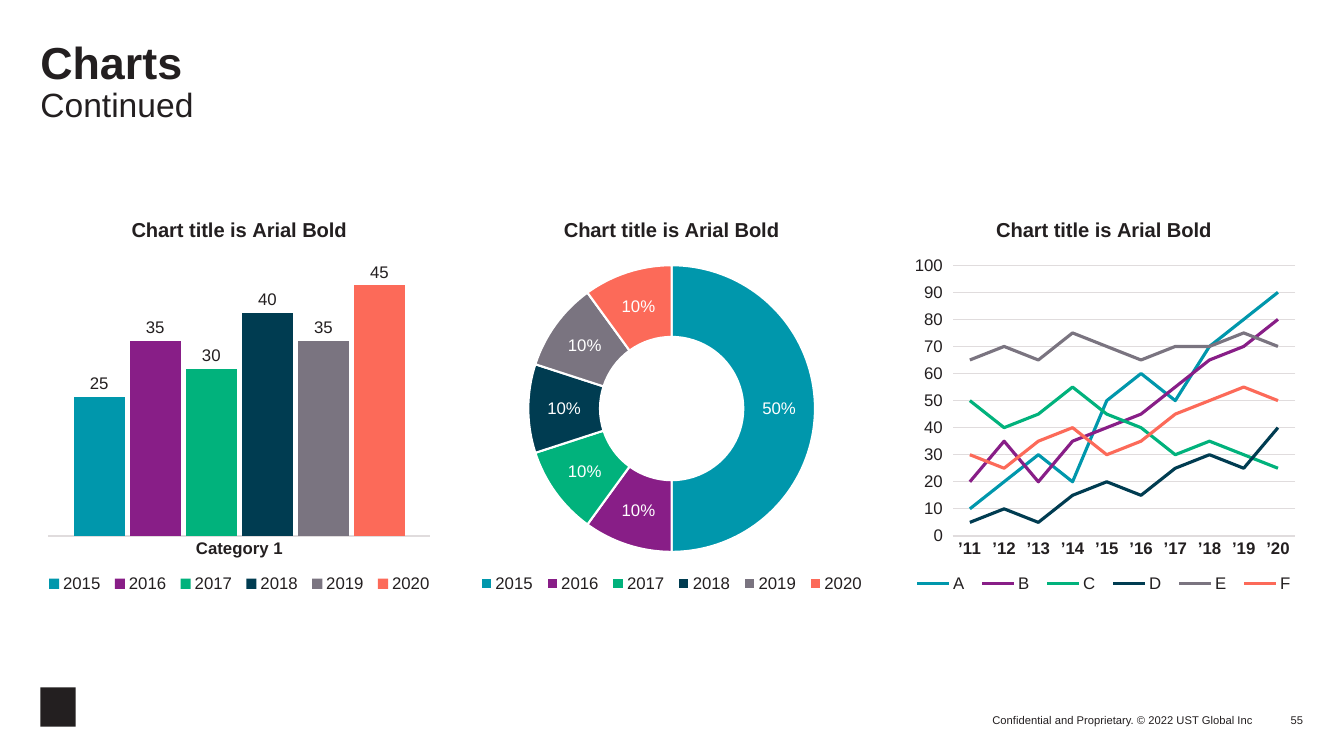
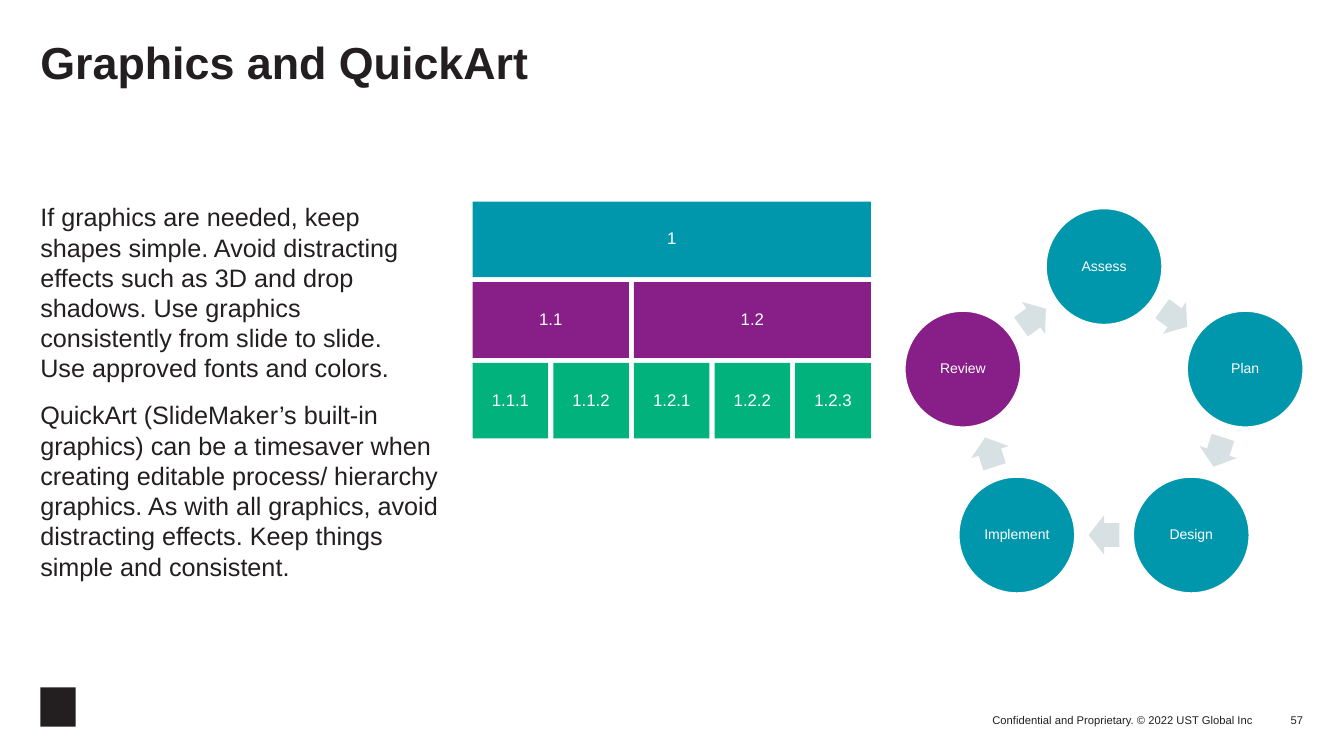
import math

import pptx
import pptx.chart.data
import pptx.dml.color
import pptx.enum.chart
import pptx.enum.shapes
import pptx.enum.text
import pptx.oxml
import pptx.oxml.ns
import pptx.util

Pt = pptx.util.Pt
RGBColor = pptx.dml.color.RGBColor
ALIGN = pptx.enum.text.PP_ALIGN
ANCHOR = pptx.enum.text.MSO_ANCHOR
SHAPE = pptx.enum.shapes.MSO_SHAPE
CHART = pptx.enum.chart.XL_CHART_TYPE
TICK = pptx.enum.chart.XL_TICK_MARK

# Shared style
FONT = "Arial"
INK = RGBColor(0x23, 0x1F, 0x20)
WHITE = RGBColor(0xFF, 0xFF, 0xFF)
RULE = RGBColor(0xE0, 0xDC, 0xDD)
MIST = RGBColor(0xD7, 0xE0, 0xE3)
TEAL = RGBColor(0x00, 0x97, 0xAC)
PURPLE = RGBColor(0x88, 0x1E, 0x87)
GREEN = RGBColor(0x01, 0xB2, 0x7C)
NAVY = RGBColor(0x00, 0x3C, 0x51)
GREY = RGBColor(0x7A, 0x74, 0x80)
CORAL = RGBColor(0xFC, 0x6A, 0x59)
PALETTE = [TEAL, PURPLE, GREEN, NAVY, GREY, CORAL]

# Shared grid: three equal columns
MARGIN, CONTENT_TOP = 28.8, 144
COLUMN_WIDTH, COLUMN_GAP = 284.4, 24.4
COLUMNS = [MARGIN + i * (COLUMN_WIDTH + COLUMN_GAP) for i in range(3)]
CONTENT_RIGHT = COLUMNS[-1] + COLUMN_WIDTH
FOOTER_BOTTOM = 519

# Content
FOOTER = "Confidential and Proprietary. © 2022 UST Global Inc"
CHART_TITLE = "Chart title is Arial Bold"
YEARS = ["2015", "2016", "2017", "2018", "2019", "2020"]
COLUMN_DATA = (["Category 1"], dict(zip(YEARS, [[25], [35], [30], [40], [35], [45]])))
RING_DATA = (YEARS, {"Series 1": [0.5, 0.1, 0.1, 0.1, 0.1, 0.1]})
LINE_DATA = (
    [f"’{year}" for year in range(11, 21)],
    {
        "A": [10, 20, 30, 20, 50, 60, 50, 70, 80, 90],
        "B": [20, 35, 20, 35, 40, 45, 55, 65, 70, 80],
        "C": [50, 40, 45, 55, 45, 40, 30, 35, 30, 25],
        "D": [5, 10, 5, 15, 20, 15, 25, 30, 25, 40],
        "E": [65, 70, 65, 75, 70, 65, 70, 70, 75, 70],
        "F": [30, 25, 35, 40, 30, 35, 45, 50, 55, 50],
    },
)
NO_BREAK = chr(160)
GUIDANCE = [
    "If graphics are needed, keep shapes simple. Avoid distracting effects such as "
    f"3D{NO_BREAK}and drop shadows. Use graphics consistently from slide to slide. "
    f"Use{NO_BREAK}approved fonts and colors.",
    "QuickArt (SlideMaker’s built-in graphics) can be a timesaver when creating "
    "editable process/ hierarchy graphics. As with all graphics, avoid distracting "
    "effects. Keep things simple and consistent.",
]
# Each level: colour, then (label, number of cells spanned)
HIERARCHY = [
    (TEAL, [("1", 5)]),
    (PURPLE, [("1.1", 2), ("1.2", 3)]),
    (GREEN, [("1.1.1", 1), ("1.1.2", 1), ("1.2.1", 1), ("1.2.2", 1), ("1.2.3", 1)]),
]
CYCLE = [("Assess", TEAL), ("Plan", TEAL), ("Design", TEAL),
         ("Implement", TEAL), ("Review", PURPLE)]


# Text and shape helpers
def set_font(font, size=12, color=INK, bold=False):
    font.name, font.size, font.bold = FONT, Pt(size), bold
    font.color.rgb = color


def write_text(frame, lines, size=12, color=INK, bold=False, align=ALIGN.LEFT,
               anchor=ANCHOR.TOP, inset=0, line_spacing=1.0, gap=0):
    """Add paragraphs to a frame, after any text it already holds."""
    frame.word_wrap = True
    frame.vertical_anchor = anchor
    frame.margin_left = frame.margin_right = Pt(inset)
    frame.margin_top = frame.margin_bottom = Pt(inset)
    for line in lines:
        first = not frame.text
        paragraph = frame.paragraphs[0] if first else frame.add_paragraph()
        paragraph.alignment = align
        paragraph.line_spacing = line_spacing
        paragraph.space_before = Pt(0 if first else gap)
        run = paragraph.add_run()
        run.text = line
        set_font(run.font, size, color, bold)


def add_text_box(slide, left, top, width, height, lines, **text_format):
    box = slide.shapes.add_textbox(Pt(left), Pt(top), Pt(width), Pt(height))
    write_text(box.text_frame, lines, **text_format)
    return box


def add_shape(slide, kind, left, top, width, height, fill):
    shape = slide.shapes.add_shape(kind, Pt(left), Pt(top), Pt(width), Pt(height))
    shape.shadow.inherit = False
    shape.fill.solid()
    shape.fill.fore_color.rgb = fill
    shape.line.fill.background()
    return shape


def add_slide(presentation, number, title, subtitle=None):
    slide = presentation.slides.add_slide(presentation.slide_layouts[6])
    add_shape(slide, SHAPE.RECTANGLE, MARGIN, 491, 25.2, 28, INK)
    for text, right, width in [(FOOTER, 895, 248), (str(number), CONTENT_RIGHT, 36)]:
        add_text_box(slide, right - width, FOOTER_BOTTOM - 20, width, 20, [text],
                     size=8, align=ALIGN.RIGHT, anchor=ANCHOR.BOTTOM)
    box = add_text_box(slide, MARGIN, 28.8, CONTENT_RIGHT - MARGIN, 72, [title],
                       size=32, bold=True, line_spacing=0.9)
    if subtitle:
        write_text(box.text_frame, [subtitle], size=24, line_spacing=0.9)
    return slide


# Chart helpers
def place(element, x, y, width=None, height=None, inner=False):
    """Fix a part of a chart at fractions of the chart's size."""
    for old in element.findall(pptx.oxml.ns.qn("c:layout")):
        element.remove(old)
    target = '<c:layoutTarget val="inner"/>' if inner else ""
    parts = [("xMode", "edge"), ("yMode", "edge"), ("x", x), ("y", y)]
    if width:
        parts += [("w", width), ("h", height)]
    values = "".join(f'<c:{name} val="{value}"/>' for name, value in parts)
    layout = pptx.oxml.parse_xml(
        f'<c:layout {pptx.oxml.ns.nsdecls("c")}><c:manualLayout>'
        f"{target}{values}</c:manualLayout></c:layout>")
    leaders = [pptx.oxml.ns.qn(name) for name in ("c:tx", "c:legendPos")]
    element.insert(sum(child.tag in leaders for child in element), layout)


def add_chart(slide, kind, left, data, plot_area, number_format="General"):
    categories, series = data
    chart_data = pptx.chart.data.CategoryChartData(number_format=number_format)
    chart_data.categories = categories
    for name, values in series.items():
        chart_data.add_series(name, values)
    chart = slide.shapes.add_chart(
        kind, Pt(left), Pt(CONTENT_TOP), Pt(COLUMN_WIDTH), Pt(COLUMN_WIDTH),
        chart_data).chart
    set_font(chart.font)
    chart.has_title = True
    run = chart.chart_title.text_frame.paragraphs[0].add_run()
    run.text = CHART_TITLE
    set_font(run.font, 14.4, bold=True)
    chart.chart_title.include_in_layout = False
    place(chart.chart_title._element, 0.22, 0.03)
    place(chart._chartSpace.chart.plotArea, *plot_area, inner=True)
    chart.has_legend = True
    chart.legend.position = pptx.enum.chart.XL_LEGEND_POSITION.BOTTOM
    chart.legend.include_in_layout = False
    set_font(chart.legend.font)
    place(chart.legend._element, 0, 0.92, 1, 0.08)
    chart.plots[0].vary_by_categories = kind == CHART.DOUGHNUT
    return chart


def style_axes(chart, maximum):
    axis = chart.category_axis
    axis.major_tick_mark = TICK.NONE
    set_font(axis.tick_labels.font, bold=True)
    axis.format.line.color.rgb = RULE
    axis.format.line.width = Pt(1.5)
    values = chart.value_axis
    values.minimum_scale, values.maximum_scale, values.major_unit = 0, maximum, 10
    values.has_major_gridlines = False
    return values


def show_values(plot, color, number_format="General"):
    plot.has_data_labels = True
    labels = plot.data_labels
    labels.show_value = True
    labels.number_format, labels.number_format_is_linked = number_format, False
    set_font(labels.font, color=color)
    return labels


def add_column_chart(slide, left):
    chart = add_chart(slide, CHART.COLUMN_CLUSTERED, left, COLUMN_DATA,
                      (0.02, 0.14, 0.96, 0.7))
    style_axes(chart, 50).visible = False
    plot = chart.plots[0]
    plot.gap_width, plot.overlap = 100, -10
    labels = show_values(plot, INK)
    labels.position = pptx.enum.chart.XL_LABEL_POSITION.OUTSIDE_END
    for series, color in zip(plot.series, PALETTE):
        series.format.fill.solid()
        series.format.fill.fore_color.rgb = color


def add_ring_chart(slide, left):
    chart = add_chart(slide, CHART.DOUGHNUT, left, RING_DATA,
                      (0.14, 0.16, 0.72, 0.72), "0%")
    plot = chart.plots[0]
    labels = show_values(plot, WHITE, "0%")
    labels.show_percentage = False
    for index, color in enumerate(PALETTE):
        point = plot.series[0].points[index].format
        point.fill.solid()
        point.fill.fore_color.rgb = color
        point.line.color.rgb = WHITE
        point.line.width = Pt(1.5)


def add_line_chart(slide, left):
    chart = add_chart(slide, CHART.LINE, left, LINE_DATA, (0.12, 0.16, 0.86, 0.68))
    values = style_axes(chart, 100)
    values.major_tick_mark = TICK.OUTSIDE
    values.format.line.fill.background()
    set_font(values.tick_labels.font)
    values.has_major_gridlines = True
    values.major_gridlines.format.line.color.rgb = RULE
    values.major_gridlines.format.line.width = Pt(0.75)
    for series, color in zip(chart.plots[0].series, PALETTE):
        series.smooth = False
        series.format.line.color.rgb = color
        series.format.line.width = Pt(2.25)


# Diagrams
def add_hierarchy(slide, left, top, cell=54, gap=3.6):
    pitch = cell + gap
    for row, (color, items) in enumerate(HIERARCHY):
        start = 0
        for label, span in items:
            block = add_shape(slide, SHAPE.RECTANGLE, left + start * pitch,
                              top + row * pitch, span * pitch - gap, cell, color)
            write_text(block.text_frame, [label], color=WHITE, align=ALIGN.CENTER,
                       anchor=ANCHOR.MIDDLE, inset=3, line_spacing=0.9)
            start += span


def add_cycle(slide, center_x, center_y, radius=106, diameter=82.8):
    step = 360 / len(CYCLE)
    arrow_width, arrow_height = 22, 28
    arrow_radius = radius * math.cos(math.radians(step / 2))

    def add_on_circle(kind, angle, distance, width, height, fill):
        x = center_x + distance * math.sin(math.radians(angle))
        y = center_y - distance * math.cos(math.radians(angle))
        return add_shape(slide, kind, x - width / 2, y - height / 2, width, height, fill)

    for index, (label, color) in enumerate(CYCLE):
        angle = index * step
        node = add_on_circle(SHAPE.OVAL, angle, radius, diameter, diameter, color)
        node.line.color.rgb = WHITE
        node.line.width = Pt(1)
        write_text(node.text_frame, [label], size=10, color=WHITE, align=ALIGN.CENTER,
                   anchor=ANCHOR.MIDDLE, inset=0.9, line_spacing=0.9)
        arrow = add_on_circle(SHAPE.RIGHT_ARROW, angle + step / 2, arrow_radius,
                              arrow_width, arrow_height, MIST)
        arrow.rotation = angle + step / 2
        arrow.adjustments[0], arrow.adjustments[1] = 0.6, 0.5


def main():
    presentation = pptx.Presentation()
    presentation.slide_width, presentation.slide_height = Pt(960), Pt(540)

    slide = add_slide(presentation, 55, "Charts", "Continued")
    for add, left in zip([add_column_chart, add_ring_chart, add_line_chart], COLUMNS):
        add(slide, left)

    slide = add_slide(presentation, 57, "Graphics and QuickArt")
    add_text_box(slide, COLUMNS[0], CONTENT_TOP, COLUMN_WIDTH, 335, GUIDANCE,
                 size=18, gap=12)
    add_hierarchy(slide, COLUMNS[1], CONTENT_TOP)
    add_cycle(slide, COLUMNS[2] + COLUMN_WIDTH / 2, 296.4)

    presentation.save("out.pptx")


if __name__ == "__main__":
    main()
